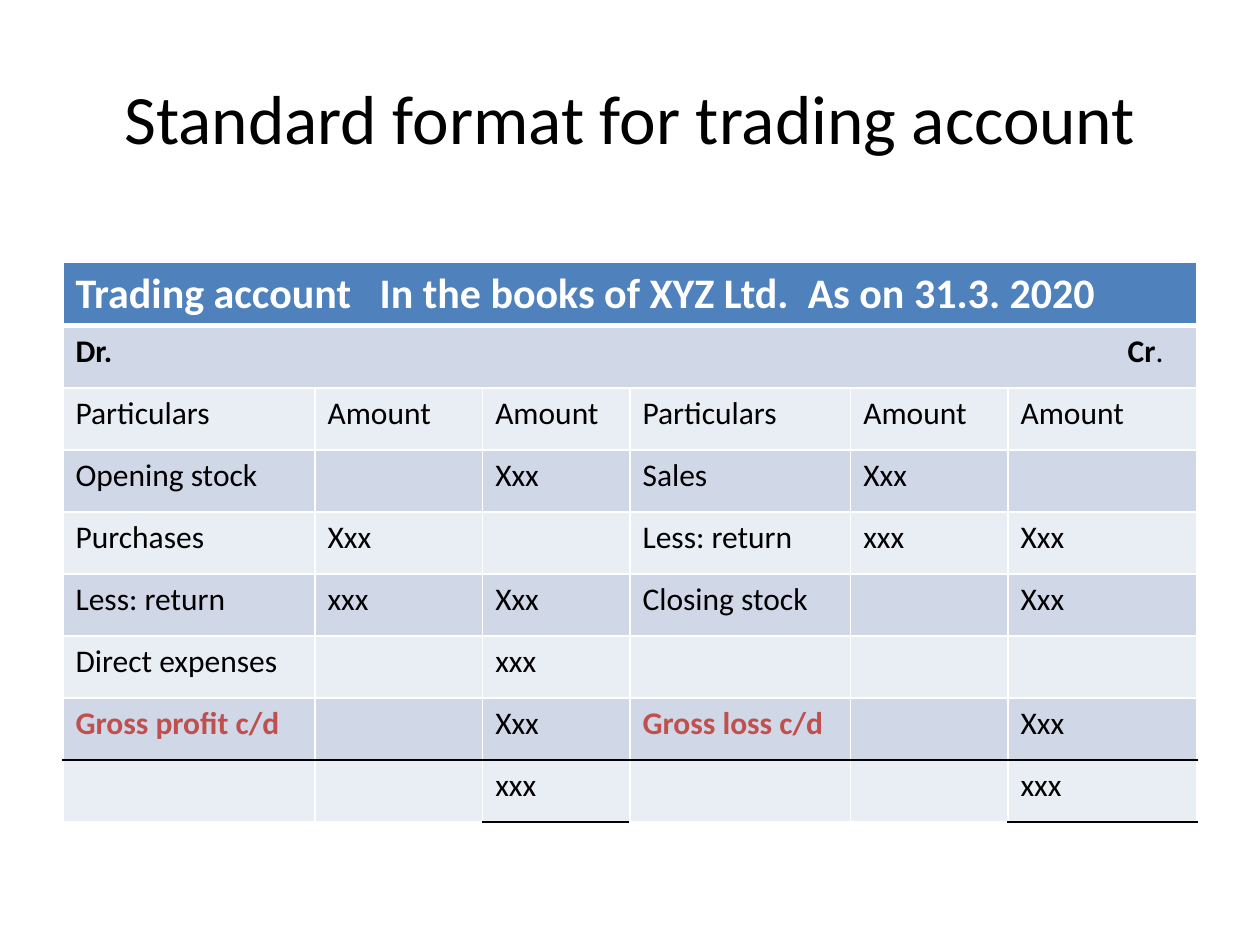
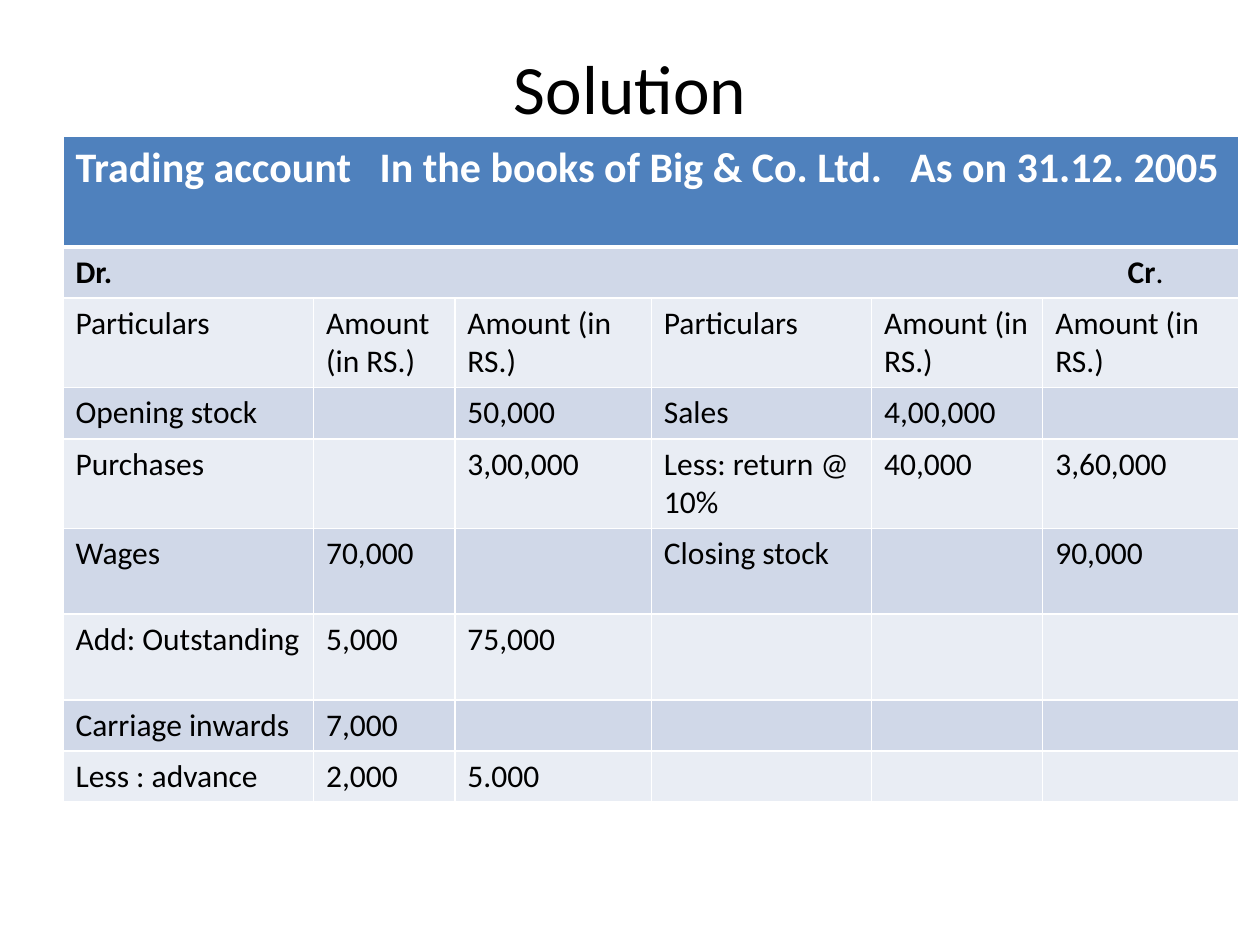
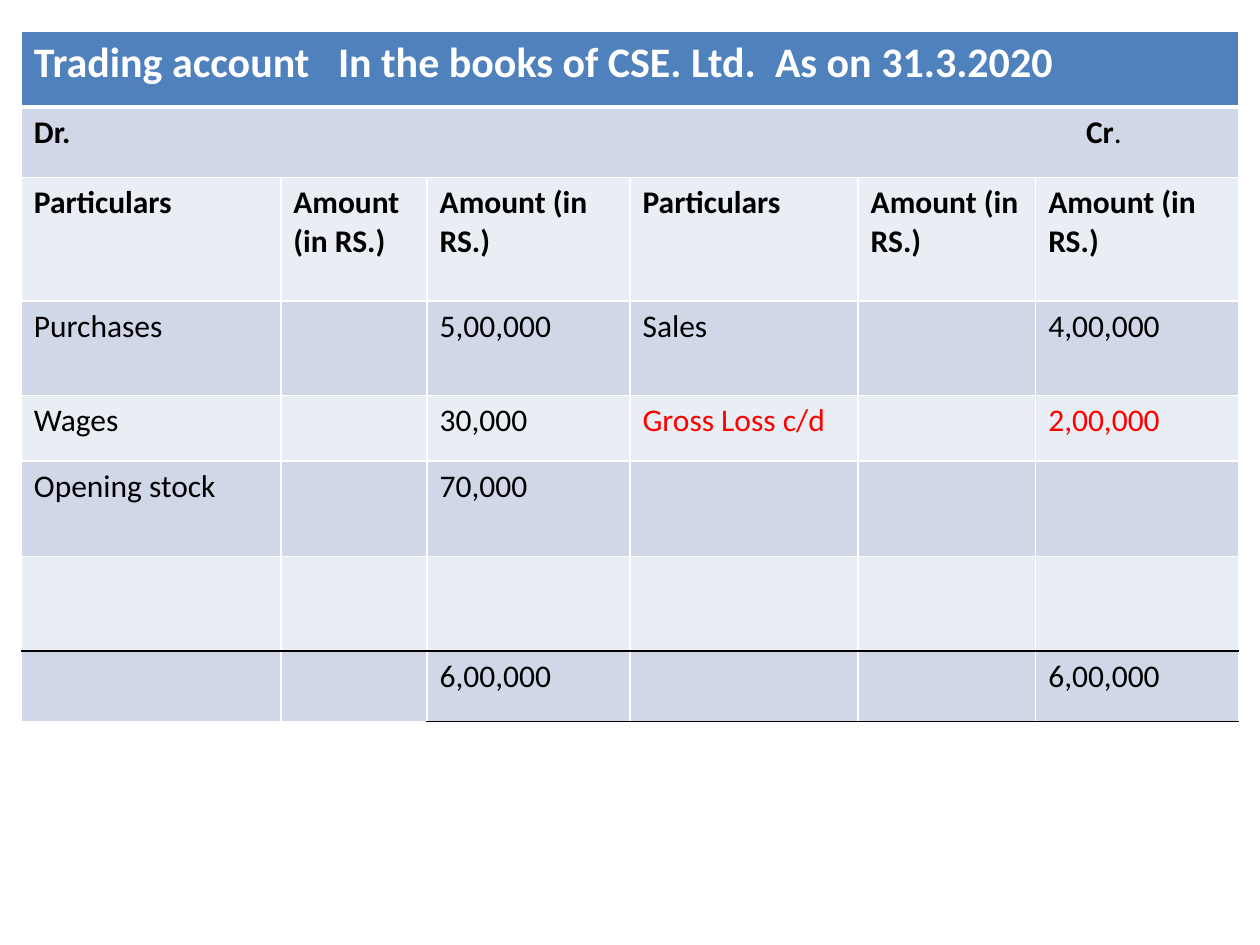
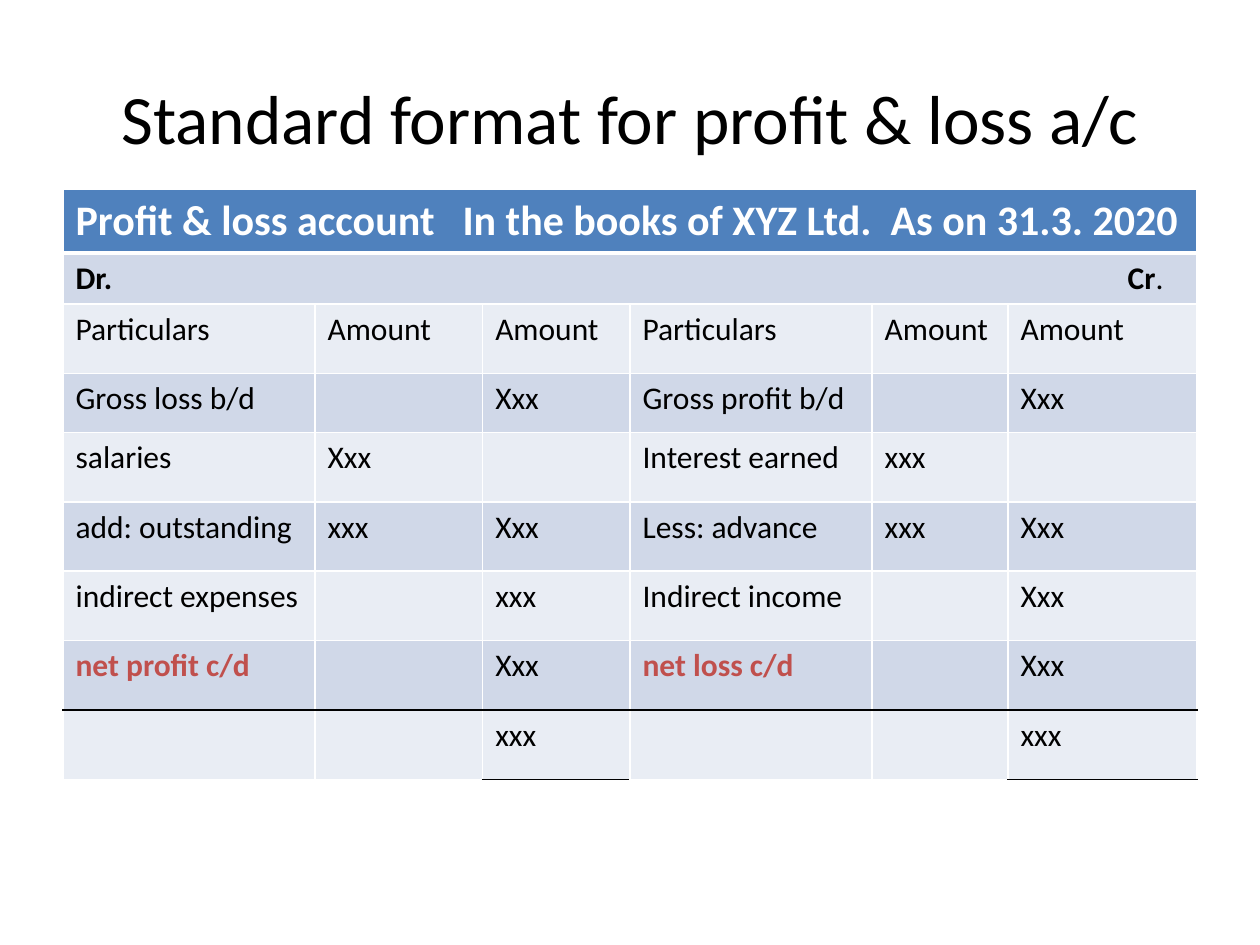
"""Builds four slides of trading and profit and loss accounts, each with one ledger table."""
from lxml import etree
from pptx import Presentation
from pptx.dml.color import RGBColor
from pptx.enum.text import MSO_ANCHOR, PP_ALIGN
from pptx.oxml.ns import qn
from pptx.util import Cm, Pt

CENTER = PP_ALIGN.CENTER
MIDDLE = MSO_ANCHOR.MIDDLE
FONT = "Calibri"
WHITE = RGBColor(0xFF, 0xFF, 0xFF)
BLACK = RGBColor(0, 0, 0)
BLUE = RGBColor(0x4F, 0x81, 0xBD)
DARK_BAND = RGBColor(0xD0, 0xD8, 0xE8)
LIGHT_BAND = RGBColor(0xE9, 0xED, 0xF4)
BRICK = RGBColor(0xC0, 0x50, 0x4D)
RED = RGBColor(0xFF, 0, 0)

TITLE_ONLY, BLANK = 5, 6
CREDIT_TAB = 21.21
PLAIN_HEADS = ["Particulars", "Amount", "Amount"] * 2
RUPEE_HEADS = ["Particulars", "Amount (in RS.)", "Amount (in RS.)"] * 2

ACCOUNTS = [
    {
        "title": "Standard format for trading account", "title_height": 3.18,
        "heading": ("Trading account", "In the books of XYZ Ltd.", "As on 31.3. 2020"),
        "tabs": (6.13, 14.76), "at": (1.27, 5.28),
        "columns": (5.08, 3.38, 2.97, 4.45, 3.17, 3.81),
        "heights": [1.25] * 9,
        "heads": PLAIN_HEADS, "bold_heads": False,
        "entries": [
            ("Opening stock", "", "Xxx", "Sales", "Xxx", ""),
            ("Purchases", "Xxx", "", "Less: return", "xxx", "Xxx"),
            ("Less: return", "xxx", "Xxx", "Closing stock", "", "Xxx"),
            ("Direct expenses", "", "xxx", "", "", ""),
            ("Gross profit c/d", "", "Xxx", "Gross loss c/d", "", "Xxx"),
            ("", "", "xxx", "", "", "xxx"),
        ],
        "accents": ("Gross profit c/d", "Gross loss c/d"),
        "accent_color": BRICK, "accent_bold": True,
        "has_total": True, "ruled_columns": (2, 5),
    },
    {
        "title": "Solution", "title_height": 1.98,
        "heading": ("Trading account", "In the books of Big & Co. Ltd.", "As on 31.12. 2005"),
        "tabs": (6.13, 16.83), "at": (1.27, 2.74),
        "columns": (5.05, 2.85, 3.96, 4.44, 3.45, 3.96),
        "heights": [2.24, 1.02, 1.73, 1.02, 1.02, 1.73, 1.73, 1.02, 1.02],
        "heads": RUPEE_HEADS, "bold_heads": False,
        "entries": [
            ("Opening stock", "", "50,000", "Sales", "4,00,000", ""),
            ("Purchases", "", "3,00,000", "Less: return @ 10%", "40,000", "3,60,000"),
            ("Wages", "70,000", "", "Closing stock", "", "90,000"),
            ("Add: Outstanding", "5,000", "75,000", "", "", ""),
            ("Carriage inwards", "7,000", "", "", "", ""),
            ("Less : advance", "2,000", "5.000", "", "", ""),
        ],
        "accents": (), "accent_color": BLACK, "accent_bold": False,
        "has_total": False, "ruled_columns": (),
    },
    {
        "title": "", "title_height": 0,
        "heading": ("Trading account", "In the books of CSE. Ltd.", "As on 31.3.2020"),
        "tabs": (6.13, 14.94), "at": (0.43, 0.64),
        "columns": (5.23, 2.95, 4.09, 4.6, 3.58, 4.09),
        "heights": [1.52, 1.42, 2.49, 1.9, 1.32, 1.93, 1.9, 1.42],
        "heads": RUPEE_HEADS, "bold_heads": True,
        "entries": [
            ("Purchases", "", "5,00,000", "Sales", "", "4,00,000"),
            ("Wages", "", "30,000", "Gross Loss c/d", "", "2,00,000"),
            ("Opening stock", "", "70,000", "", "", ""),
            ("", "", "", "", "", ""),
            ("", "", "6,00,000", "", "", "6,00,000"),
        ],
        "accents": ("Gross Loss c/d", "2,00,000"),
        "accent_color": RED, "accent_bold": False,
        "has_total": True, "ruled_columns": (2, 3, 4, 5),
    },
    {
        "title": "Standard format for profit & loss a/c", "title_height": 3.18,
        "heading": ("Profit & loss account", "In the books of XYZ Ltd.", "As on 31.3. 2020"),
        "tabs": (7.8, 16.43), "at": (1.27, 3.81),
        "columns": (5.08, 3.38, 2.97, 4.88, 2.74, 3.81),
        "heights": [1.27, 0.84, 1.4, 1.19] + [1.4] * 5,
        "heads": PLAIN_HEADS, "bold_heads": False,
        "entries": [
            ("Gross loss b/d", "", "Xxx", "Gross profit b/d", "", "Xxx"),
            ("salaries", "Xxx", "", "Interest earned", "xxx", ""),
            ("add: outstanding", "xxx", "Xxx", "Less: advance", "xxx", "Xxx"),
            ("indirect expenses", "", "xxx", "Indirect income", "", "Xxx"),
            ("net profit c/d", "", "Xxx", "net loss c/d", "", "Xxx"),
            ("", "", "xxx", "", "", "xxx"),
        ],
        "accents": ("net profit c/d", "net loss c/d"),
        "accent_color": BRICK, "accent_bold": True,
        "has_total": True, "ruled_columns": (2, 5),
    },
]


def add_span(para, text, size=18, color=BLACK, bold=False):
    span = para.add_run()
    span.text = text
    span.font.name = FONT
    span.font.size = Pt(size)
    span.font.color.rgb = color
    span.font.bold = bold


def set_tabs(para, positions):
    stops = etree.SubElement(para._p.get_or_add_pPr(), qn("a:tabLst"))
    for position in positions:
        etree.SubElement(stops, qn("a:tab"), pos=str(Cm(position)), algn="l")


def add_border(cell, side, color, width):
    properties = cell._tc.get_or_add_tcPr()
    line = etree.SubElement(properties, qn("a:ln" + side), w=str(Pt(width)))
    fill = etree.SubElement(line, qn("a:solidFill"))
    etree.SubElement(fill, qn("a:srgbClr"), val=str(color))


def style_cell(cell, account, row, column):
    last = len(account["heights"]) - 1
    total = last if account["has_total"] else None
    top = BLACK if row == total else WHITE
    above_total = total is not None and row == total - 1
    ruled = row == total and column in account["ruled_columns"]
    bottom = BLACK if above_total or ruled else WHITE
    add_border(cell, "L", WHITE, 1)
    add_border(cell, "R", WHITE, 1)
    add_border(cell, "T", top, 3 if row == 1 else 1)
    add_border(cell, "B", bottom, 3 if row == 0 else 1)
    cell.fill.solid()
    band = DARK_BAND if row % 2 else LIGHT_BAND
    cell.fill.fore_color.rgb = band if row else BLUE


def add_title(page, account):
    box = page.shapes.title
    box.left, box.top = Cm(1.27), Cm(0.76)
    box.width, box.height = Cm(22.86), Cm(account["title_height"])
    box.text_frame.vertical_anchor = MIDDLE
    para = box.text_frame.paragraphs[0]
    para.alignment = CENTER
    add_span(para, account["title"], 39.6)


def add_ledger(page, account):
    columns, heights = account["columns"], account["heights"]
    left, top = account["at"]
    table = page.shapes.add_table(len(heights), len(columns), Cm(left), Cm(top),
                                  Cm(sum(columns)), Cm(sum(heights))).table
    for column, width in zip(table.columns, columns):
        column.width = Cm(width)
    for row, height in zip(table.rows, heights):
        row.height = Cm(height)
    for row in range(len(heights)):
        for column in range(len(columns)):
            style_cell(table.cell(row, column), account, row, column)
    for row in range(2):
        table.cell(row, 0).merge(table.cell(row, len(columns) - 1))

    para = table.cell(0, 0).text_frame.paragraphs[0]
    set_tabs(para, account["tabs"])
    add_span(para, "\t".join(account["heading"]), 24, WHITE, True)

    para = table.cell(1, 0).text_frame.paragraphs[0]
    set_tabs(para, [CREDIT_TAB])
    add_span(para, "Dr.\tCr", bold=True)
    add_span(para, ".")

    for row, texts in enumerate([account["heads"]] + account["entries"], start=2):
        for column, text in enumerate(texts):
            if not text:
                continue
            para = table.cell(row, column).text_frame.paragraphs[0]
            if text in account["accents"]:
                add_span(para, text, color=account["accent_color"],
                         bold=account["accent_bold"])
            else:
                add_span(para, text, bold=row == 2 and account["bold_heads"])


deck = Presentation()
deck.slide_width, deck.slide_height = Cm(25.4), Cm(19.05)
for account in ACCOUNTS:
    layout = TITLE_ONLY if account["title"] else BLANK
    page = deck.slides.add_slide(deck.slide_layouts[layout])
    if account["title"]:
        add_title(page, account)
    add_ledger(page, account)
deck.save("out.pptx")
